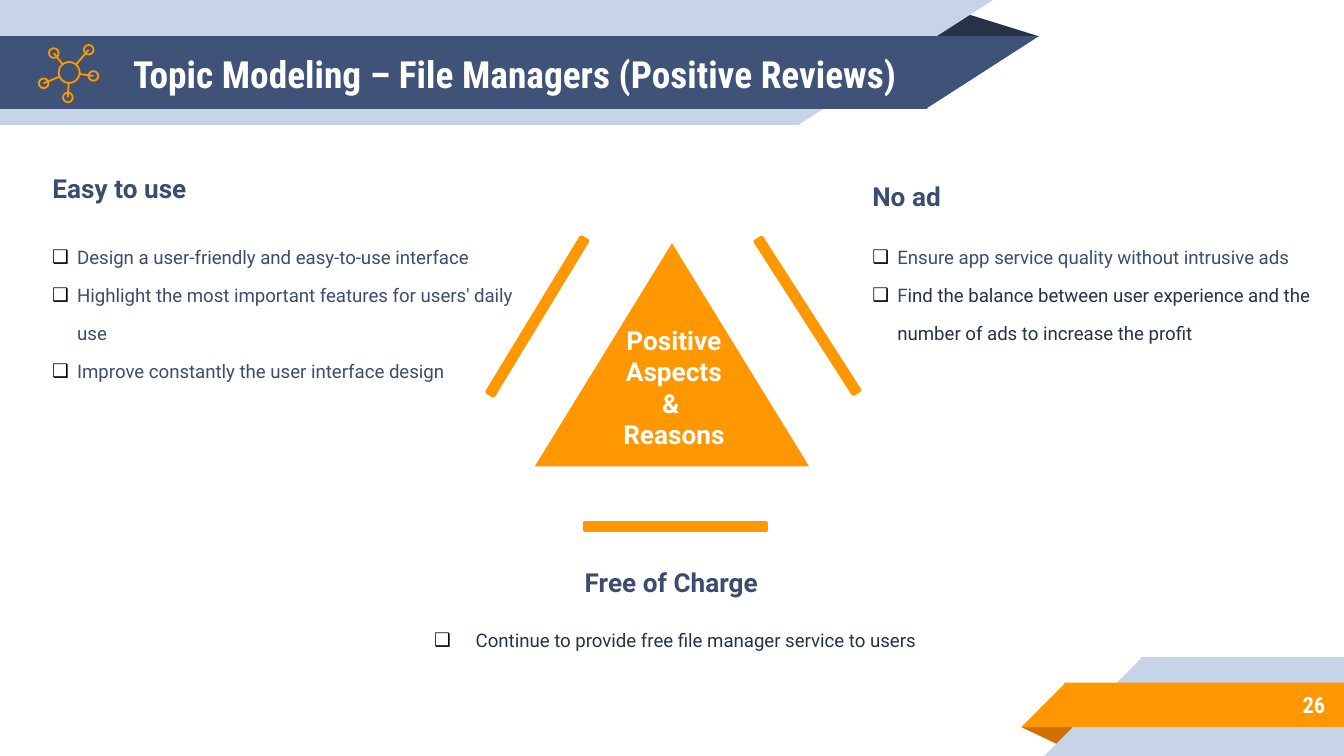
from dataclasses import dataclass
from math import hypot
from typing import NamedTuple, Optional

from lxml.etree import SubElement
from pptx import Presentation
from pptx.dml.color import RGBColor
from pptx.enum.shapes import MSO_CONNECTOR as Line, MSO_SHAPE as Preset
from pptx.enum.text import MSO_ANCHOR as Anchor, MSO_AUTO_SIZE as AutoSize, PP_ALIGN as Align
from pptx.oxml.ns import qn
from pptx.util import Inches, Pt


@dataclass(frozen=True)
class Theme:
    pale: str = "C7D3E6"
    navy: str = "3F5378"
    ink: str = "263248"
    slate: str = "3B4D6F"
    orange: str = "FF9800"
    rust: str = "D26F00"
    white: str = "FFFFFF"
    black: str = "000000"
    body_font: str = "Roboto"
    title_font: str = "Roboto Condensed"
    bullet_font: str = "Arial"
    title_size: int = 20
    heading_size: int = 14
    number_size: int = 12
    list_size: int = 10
    icon_line: float = 0.96
    bar_line: float = 2


class Box(NamedTuple):
    """Columns and rows of a square grid, 100 columns to the slide's width."""
    col: float
    row: float
    cols: float
    rows: float


class Block(NamedTuple):
    preset: Preset
    box: Box
    color: str
    flip: str = ""
    rotation: float = 0
    apex: Optional[float] = None
    outline: float = 0


class Style(NamedTuple):
    size: float
    color: str
    font: str = Theme.body_font
    bold: bool = True
    align: Align = Align.LEFT
    anchor: Anchor = Anchor.TOP
    inset: float = 0.5
    spacing: float = 1
    hang: float = 0


class Part(NamedTuple):
    text: str
    color: str


theme = Theme()
deck = Presentation()
deck.slide_width = Inches(10)
deck.slide_height = deck.slide_width * 9 // 16
COMPARISON_LAYOUT = 4
slide = deck.slides.add_slide(deck.slide_layouts[COMPARISON_LAYOUT])


def grid(cells: float) -> int:
    return round(deck.slide_width * cells / 100)


def rgb(color: str) -> RGBColor:
    return RGBColor.from_string(color)


def draw_block(block: Block) -> None:
    shape = slide.shapes.add_shape(block.preset, *map(grid, block.box))
    shape.shadow.inherit = False
    shape.fill.solid()
    shape.fill.fore_color.rgb = rgb(block.color)
    shape.rotation = block.rotation
    if block.outline:
        shape.line.color.rgb = rgb(block.color)
        shape.line.width = Pt(block.outline)
    else:
        shape.line.fill.background()
    if block.apex is not None:
        shape.adjustments[0] = block.apex
    if block.flip:
        shape._element.spPr.xfrm.set(block.flip, "1")


def draw_ring(x: float, y: float, radius: float) -> None:
    ring = slide.shapes.add_shape(
        Preset.OVAL, *map(grid, (x - radius, y - radius, 2 * radius, 2 * radius)))
    ring.shadow.inherit = False
    ring.fill.background()
    ring.line.color.rgb = rgb(theme.orange)
    ring.line.width = Pt(theme.icon_line)


def draw_network(hub: tuple, hub_radius: float, nodes: list, node_radius: float) -> None:
    """Rings joined to the hub's edge by spokes."""
    draw_ring(*hub, hub_radius)
    for x, y in nodes:
        draw_ring(x, y, node_radius)
        share = hub_radius / hypot(x - hub[0], y - hub[1])
        edge = (hub[0] + (x - hub[0]) * share, hub[1] + (y - hub[1]) * share)
        spoke = slide.shapes.add_connector(Line.STRAIGHT, *map(grid, (x, y, *edge)))
        spoke.line.color.rgb = rgb(theme.orange)
        spoke.line.width = Pt(theme.icon_line)
        SubElement(spoke._element.spPr, qn("a:effectLst"))


def add_bullet(paragraph, hang: float) -> None:
    properties = paragraph._p.get_or_add_pPr()
    properties.set("marL", str(grid(hang)))
    properties.set("indent", str(-grid(hang)))
    bullet_color = SubElement(properties, qn("a:buClr"))
    SubElement(bullet_color, qn("a:srgbClr"), val=theme.black)
    SubElement(properties, qn("a:buFont"), typeface=theme.bullet_font)
    SubElement(properties, qn("a:buChar"), char="❑")


def write(holder, box: Box, paragraphs: list, style: Style) -> None:
    """Place a holder in front of all else; a paragraph is a string or a list of parts."""
    slide.shapes._spTree.append(holder._element)
    holder.left, holder.top, holder.width, holder.height = map(grid, box)
    frame = holder.text_frame
    formats = {
        "word_wrap": True, "auto_size": AutoSize.NONE, "vertical_anchor": style.anchor,
        "margin_left": Inches(0.1), "margin_right": Inches(0.1),
        "margin_top": grid(style.inset), "margin_bottom": grid(style.inset),
    }
    for name, value in formats.items():
        setattr(frame, name, value)
    for index, content in enumerate(paragraphs):
        paragraph = frame.add_paragraph() if index else frame.paragraphs[0]
        for name, value in {"alignment": style.align, "line_spacing": style.spacing,
                            "space_before": Pt(0), "space_after": Pt(0)}.items():
            setattr(paragraph, name, value)
        if style.hang:
            add_bullet(paragraph, style.hang)
        for part in [Part(content, style.color)] if isinstance(content, str) else content:
            run = paragraph.add_run()
            run.text = part.text
            for name, value in {"name": style.font, "size": Pt(style.size),
                                "bold": style.bold}.items():
                setattr(run.font, name, value)
            run.font.color.rgb = rgb(part.color)


def write_box(box: Box, paragraphs: list, style: Style) -> None:
    write(slide.shapes.add_textbox(0, 0, 0, 0), box, paragraphs, style)


RECT, WEDGE, TRIANGLE = Preset.RECTANGLE, Preset.RIGHT_TRIANGLE, Preset.ISOSCELES_TRIANGLE
# Bands reach 0.1 column into their wedges so that no seam shows.
ribbons = [
    Block(TRIANGLE, Box(68.8, 0.9, 8.5, 1.8), theme.ink, apex=0.32),
    Block(RECT, Box(0, 0, 59.5, 9.3), theme.pale),
    Block(WEDGE, Box(59.4, 0, 14.5, 9.3), theme.pale, "flipV"),
    Block(RECT, Box(0, 2.7, 69, 5.4), theme.navy),
    Block(WEDGE, Box(68.9, 2.7, 8.4, 5.4), theme.navy, "flipV"),
    Block(TRIANGLE, Box(76, 54.1, 4.3, 1.4), theme.rust, rotation=180, apex=0.32),
    Block(RECT, Box(84.9, 48.9, 15.1, 7.35), theme.pale),
    Block(WEDGE, Box(77.7, 48.9, 7.3, 7.35), theme.pale, "flipH"),
    Block(RECT, Box(79.2, 50.8, 20.8, 3.3), theme.orange),
    Block(WEDGE, Box(76, 50.8, 3.3, 3.3), theme.orange, "flipH"),
]
center_triangle = Block(TRIANGLE, Box(39.8, 18.1, 20.4, 16.6), theme.orange)
side_bars = [
    Block(RECT, Box(col, row, 0.55, 13.5), theme.orange, rotation=turn, outline=theme.bar_line)
    for col, row, turn in [(39.7, 16.8, 31.3), (59.8, 16.75, 147.3), (50, 32.4, 90)]
]
for block in [*ribbons, center_triangle, *side_bars]:
    draw_block(block)

draw_network((5.15, 5.4), 0.78,
             [(6.6, 3.7), (4, 3.95), (3.25, 6.2), (5.05, 7.25), (6.95, 5.65)], 0.36)

heading = Style(theme.heading_size, theme.slate)
bullets = Style(theme.list_size, theme.slate, bold=False, spacing=1.7, hang=1.87)
title, easy_heading, easy_list, ad_heading, ad_list = slide.placeholders

write(title, Box(8.9, 2.7, 64.5, 5.6), ["Topic Modeling – File Managers (Positive Reviews)"],
      Style(theme.title_size, theme.white, theme.title_font, anchor=Anchor.MIDDLE, inset=1))
write(easy_heading, Box(2.9, 12.3, 26.5, 3.5), ["Easy to use"], heading)
write(easy_list, Box(2.87, 16.6, 37.2, 12.1), [
    "Design a user-friendly and easy-to-use interface",
    "Highlight the most important features for users' daily use",
    "Improve constantly the user interface design",
], bullets)
write(ad_heading, Box(63.9, 12.9, 19.8, 3.5), ["No ad"], heading)
write(ad_list, Box(63.9, 16.6, 35, 9.2), [
    "Ensure app service quality without intrusive ads",
    [Part("F", theme.slate),
     Part("ind the balance between user experience and the number of ads to increase the profit",
          theme.ink)],
], bullets)
write_box(Box(31.2, 41.65, 37.5, 3.4), ["Free of Charge"], heading._replace(align=Align.CENTER))
write_box(Box(25.25, 45.45, 49.9, 3.3), ["Continue to provide free file manager service to users"],
          bullets._replace(color=theme.ink, align=Align.CENTER, spacing=1.5, hang=3.1))
write_box(Box(43.45, 23.65, 13.4, 10.4), ["Positive", "Aspects", "& ", "Reasons"],
          heading._replace(color=theme.white, align=Align.CENTER))
write_box(Box(83.3, 50.7, 16.3, 3.5), ["26"],
          Style(theme.number_size, theme.white, theme.title_font, align=Align.RIGHT,
                anchor=Anchor.MIDDLE, inset=1))

deck.save("out.pptx")
